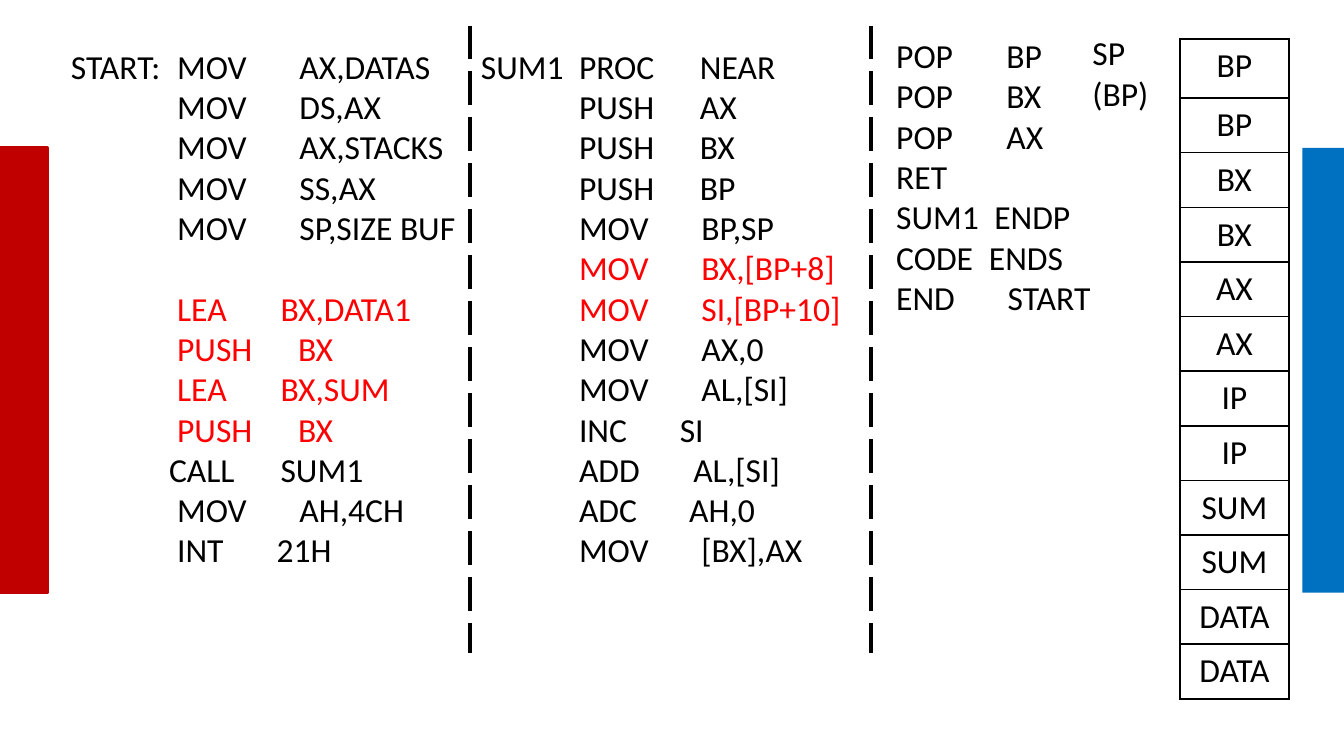
import pptx
import pptx.util
import pptx.dml.color
import pptx.enum.dml
import pptx.enum.shapes
import pptx.enum.text
import pptx.oxml
import pptx.oxml.ns
from lxml import etree

Inches, Pt = pptx.util.Inches, pptx.util.Pt
RGBColor = pptx.dml.color.RGBColor
qn = pptx.oxml.ns.qn
BLACK = RGBColor(0x00, 0x00, 0x00)
WHITE = RGBColor(0xFF, 0xFF, 0xFF)
RED = RGBColor(0xFF, 0x00, 0x00)
DARK_RED = RGBColor(0xC0, 0x00, 0x00)
BLUE = RGBColor(0x00, 0x70, 0xC0)
TEXT_FORMAT = {"name": "Calibri", "size": Pt(18)}
LINE_PITCH = Pt(21.6)

# Content: (label, operation, operand, colour); None leaves a gap
MAIN = [
    ("START:", "MOV", "AX,DATAS", BLACK),
    ("", "MOV", "DS,AX", BLACK),
    ("", "MOV", "AX,STACKS", BLACK),
    ("", "MOV", "SS,AX", BLACK),
    ("", "MOV", "SP,SIZE BUF", BLACK),
    None,
    ("", "LEA", "BX,DATA1", RED),
    ("", "PUSH", "BX", RED),
    ("", "LEA", "BX,SUM", RED),
    ("", "PUSH", "BX", RED),
    ("", "CALL", "SUM1", BLACK),
    ("", "MOV", "AH,4CH", BLACK),
    ("", "INT", "21H", BLACK),
]
PROCEDURE = [
    ("SUM1", "PROC", "NEAR", BLACK),
    ("", "PUSH", "AX", BLACK),
    ("", "PUSH", "BX", BLACK),
    ("", "PUSH", "BP", BLACK),
    ("", "MOV", "BP,SP", BLACK),
    ("", "MOV", "BX,[BP+8]", RED),
    ("", "MOV", "SI,[BP+10]", RED),
    ("", "MOV", "AX,0", BLACK),
    ("", "MOV", "AL,[SI]", BLACK),
    ("", "INC", "SI", BLACK),
    ("", "ADD", "AL,[SI]", BLACK),
    ("", "ADC", "AH,0", BLACK),
    ("", "MOV", "[BX],AX", BLACK),
]
ENDING = [
    ("", "POP", "BP", BLACK),
    ("", "POP", "BX", BLACK),
    ("", "POP", "AX", BLACK),
    ("", "RET", "", BLACK),
    ("", "SUM1", "ENDP", BLACK),
    ("", "CODE", "ENDS", BLACK),
    ("", "END", "START", BLACK),
]
# Left, top, width, height, operation stop, lines
LISTINGS = [
    (0.43, 0.29, 5, 4.04, 0.79, MAIN),
    (3.48, 0.29, 3.02, 4.34, 0.73, PROCEDURE),
    (5.79, 0.21, 2.6, 2.22, 0.78, ENDING),
]
OPERAND_GAP = {"MOV": 0.91, "PUSH": 0.9, "PROC": 0.9, "LEA": 0.77,
               "CALL": 0.83, "INT": 0.74, "INC": 0.75, "ADD": 0.85,
               "ADC": 0.82, "POP": 0.82, "SUM1": 0.73, "CODE": 0.69,
               "END": 0.83, "RET": 0.8}
OPERATION_SHIFT = {"CALL": -0.06}
POINTER = ["SP", "(BP)"]
STACK = ["BP", "BP", "BX", "BX", "AX", "AX", "IP", "IP",
         "SUM", "SUM", "DATA", "DATA"]
STACK_HEIGHT, FIRST_ROW = Inches(4.91), Inches(0.44)
SIDE_BARS = [(0, 0.35, DARK_RED, 2), (9.69, 0.31, BLUE, 0)]
DIVIDERS = [3.5, 6.48]


def add_span(para, text, colour=BLACK):
    span = para.add_run()
    span.text = text
    for key, value in TEXT_FORMAT.items():
        setattr(span.font, key, value)
    span.font.color.rgb = colour


def add_box(*place):
    frame = page.shapes.add_textbox(*map(Inches, place)).text_frame
    frame.word_wrap = True
    frame.auto_size = pptx.enum.text.MSO_AUTO_SIZE.SHAPE_TO_FIT_TEXT
    return frame


def next_para(frame, index):
    return frame.add_paragraph() if index else frame.paragraphs[0]


def set_tabs(para, stops):
    tabs = etree.SubElement(para._p.get_or_add_pPr(), qn("a:tabLst"))
    for stop in stops:
        etree.SubElement(tabs, qn("a:tab"), pos=str(Inches(stop)), algn="l")


def add_listing(left, top, width, height, stop, lines):
    frame = add_box(left, top, width, height)
    gap_before = False
    for index, line in enumerate(lines):
        if line is None:
            gap_before = True
            continue
        label, operation, operand, colour = line
        para = next_para(frame, index)
        if gap_before:
            para.space_before = LINE_PITCH
            gap_before = False
        start = stop + OPERATION_SHIFT.get(operation, 0)
        set_tabs(para, [start, start + OPERAND_GAP[operation]])
        parts = [label, operation] + ([operand] if operand else [])
        add_span(para, "\t".join(parts), colour)


def add_borders(cell):
    properties = cell._tc.get_or_add_tcPr()
    for index, side in enumerate(("lnL", "lnR", "lnT", "lnB")):
        border = etree.Element(qn("a:" + side), w=str(Pt(1)))
        fill = etree.SubElement(border, qn("a:solidFill"))
        etree.SubElement(fill, qn("a:srgbClr"), val=str(BLACK))
        properties.insert(index, border)


# Widescreen page, 16:9
deck = pptx.Presentation()
deck.slide_width = Inches(10)
deck.slide_height = Inches(10) * 9 // 16
page = deck.slides.add_slide(deck.slide_layouts[6])
page.background.fill.solid()
page.background.fill.fore_color.rgb = WHITE

# Side bars
for left, width, colour, line_width in SIDE_BARS:
    bar = page.shapes.add_shape(
        pptx.enum.shapes.MSO_SHAPE.RECTANGLE,
        Inches(left), Inches(1.1), Inches(width), Inches(3.31))
    bar.shadow.inherit = False
    bar.fill.solid()
    bar.fill.fore_color.rgb = colour
    if line_width:
        bar.line.color.rgb = colour
        bar.line.width = Pt(line_width)
    else:
        bar.line.fill.background()

# Code listings
for listing in LISTINGS:
    add_listing(*listing)

# Stack table
table = page.shapes.add_table(
    len(STACK), 1, Inches(8.78), Inches(0.29), Inches(0.81), STACK_HEIGHT).table
table.first_row = table.horz_banding = False
other_row = (STACK_HEIGHT - FIRST_ROW) // (len(STACK) - 1)
for index, name in enumerate(STACK):
    table.rows[index].height = other_row if index else FIRST_ROW
    cell = table.cell(index, 0)
    cell.fill.background()
    add_borders(cell)
    para = cell.text_frame.paragraphs[0]
    para.alignment = pptx.enum.text.PP_ALIGN.CENTER
    add_span(para, name)

# Dashed dividers
for x in DIVIDERS:
    divider = page.shapes.add_connector(
        pptx.enum.shapes.MSO_CONNECTOR.STRAIGHT,
        Inches(x), Inches(0.19), Inches(x), Inches(4.86))
    divider.line.color.rgb = BLACK
    divider.line.width = Pt(2.25)
    divider.line.dash_style = pptx.enum.dml.MSO_LINE.LONG_DASH
    etree.SubElement(divider._element.spPr, qn("a:effectLst"))

# Stack pointer label
pointer_frame = add_box(8.03, 0.19, 0.71, 0.71)
for index, name in enumerate(POINTER):
    add_span(next_para(pointer_frame, index), name)

deck.save("out.pptx")
